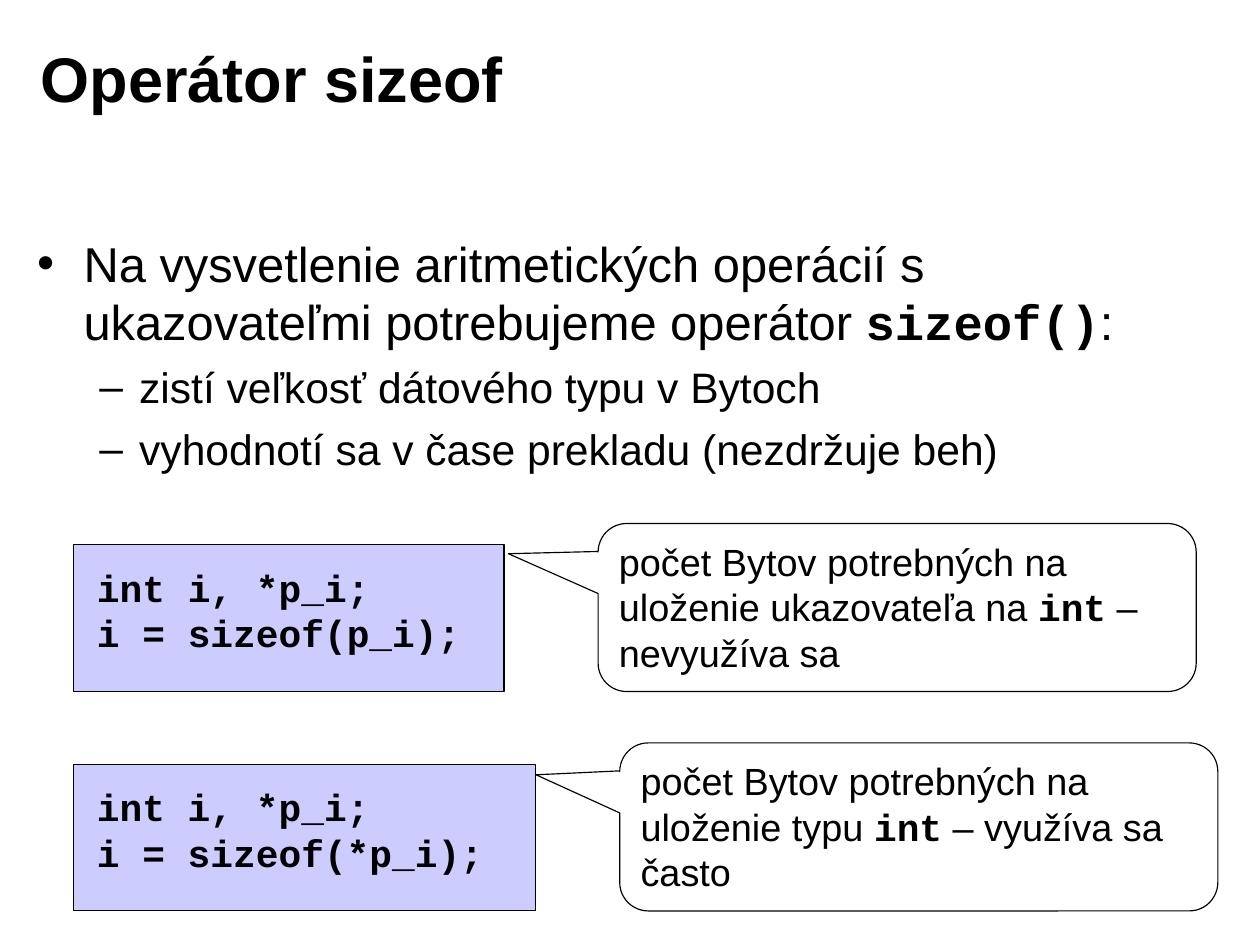
"""Build the slide that explains the sizeof operator."""
from dataclasses import dataclass

from lxml import etree
from pptx import Presentation
from pptx.dml.color import RGBColor
from pptx.enum.shapes import MSO_SHAPE
from pptx.enum.text import MSO_ANCHOR, PP_ALIGN
from pptx.oxml.ns import qn
from pptx.util import Pt

RECTANGLE = MSO_SHAPE.RECTANGLE
CALLOUT = MSO_SHAPE.ROUNDED_RECTANGULAR_CALLOUT
TOP, MIDDLE = MSO_ANCHOR.TOP, MSO_ANCHOR.MIDDLE
ALIGN_LEFT = PP_ALIGN.LEFT
BLANK_LAYOUT = 6
SANS, MONO = "Arial", "Courier New"
BLACK, WHITE, LILAC = "000000", "FFFFFF", "CCCCFF"
WIDE_INSETS, CODE_INSETS = (7.9, 4.3), (7.2, 3.6)
FIRST_ROW_TOP, ROW_STEP = 345.6, 139.2


@dataclass
class Span:
    text: str
    code: bool = False


@dataclass
class Item:
    spans: list[Span]
    size: float
    bullet: str
    left: float
    hanging: float
    before: float
    level: int = 0


@dataclass
class Example:
    code: list[str]
    code_width: float
    note: list[Span]
    note_left: float
    tip: tuple[float, float]


ITEMS = [
    Item([Span("Na vysvetlenie aritmetických operácií s ukazovateľmi potrebujeme operátor "),
          Span("sizeof()", True), Span(":")], 31, "•", 29.5, 29.5, 0),
    Item([Span("zistí veľkosť dátového typu v Bytoch")], 27, "–", 64.8, 25.2, 6.8, 1),
    Item([Span("vyhodnotí sa v čase prekladu (nezdržuje beh)")], 27, "–", 64.8, 25.2, 6.8, 1),
]
EXAMPLES = [
    Example(["int i, *p_i;", "i = sizeof(p_i);"], 272.9,
            [Span("počet Bytov potrebných na uloženie ukazovateľa na "),
             Span("int", True), Span(" – nevyužíva sa")], 379.4, (-0.65, -0.32)),
    Example(["int i, *p_i;", "i = sizeof(*p_i);"], 293,
            [Span("počet Bytov potrebných na uloženie typu "),
             Span("int", True), Span(" – využíva sa často")], 393.1, (-0.64, -0.31)),
]


def color(value: str) -> RGBColor:
    return RGBColor.from_string(value)


def set_font(font, size: float, name: str = SANS, bold: bool = False) -> None:
    font.size, font.name, font.bold = Pt(size), name, bold
    font.color.rgb = color(BLACK)


def set_frame(frame, insets: tuple[float, float], anchor=TOP, wrap: bool = True) -> None:
    frame.margin_left = frame.margin_right = Pt(insets[0])
    frame.margin_top = frame.margin_bottom = Pt(insets[1])
    frame.vertical_anchor, frame.word_wrap = anchor, wrap


def add_text_box(shapes, left: float, top: float, width: float, height: float):
    return shapes.add_textbox(Pt(left), Pt(top), Pt(width), Pt(height))


def add_box(shapes, kind, left: float, top: float, width: float, height: float, fill: str):
    box = shapes.add_shape(kind, Pt(left), Pt(top), Pt(width), Pt(height))
    box.shadow.inherit = False
    box.fill.solid()
    box.fill.fore_color.rgb = color(fill)
    box.line.color.rgb = color(BLACK)
    box.line.width = Pt(0.75)
    return box


def add_spans(paragraph, spans: list[Span], size: float) -> None:
    for span in spans:
        run = paragraph.add_run()
        run.text = span.text
        set_font(run.font, size, MONO if span.code else SANS, span.code)


def add_bullet(paragraph, item: Item) -> None:
    properties = paragraph._p.get_or_add_pPr()
    properties.set("marL", str(Pt(item.left)))
    properties.set("indent", str(-Pt(item.hanging)))
    etree.SubElement(properties, qn("a:buFont"), typeface=SANS)
    etree.SubElement(properties, qn("a:buChar"), char=item.bullet)


def add_title(page) -> None:
    box = add_text_box(page.shapes, 18, 12.2, 641.5, 73.4)
    set_frame(box.text_frame, WIDE_INSETS, MIDDLE)
    box.text_frame.text = "Operátor sizeof"
    set_font(box.text_frame.paragraphs[0].runs[0].font, 40, bold=True)


def add_items(page) -> None:
    frame = add_text_box(page.shapes, 15.6, 143.6, 767.5, 181.4).text_frame
    set_frame(frame, WIDE_INSETS)
    for index, item in enumerate(ITEMS):
        paragraph = frame.add_paragraph() if index else frame.paragraphs[0]
        paragraph.level = item.level
        add_bullet(paragraph, item)
        paragraph.space_before = Pt(item.before)
        add_spans(paragraph, item.spans, item.size)


def add_code(page, example: Example, top: float) -> None:
    group = page.shapes.add_group_shape()
    add_box(group.shapes, RECTANGLE, 46.8, top, example.code_width, 92.9, LILAC)
    frame = add_text_box(group.shapes, 54.4, top + 9, example.code_width - 16, 64.8).text_frame
    set_frame(frame, CODE_INSETS, wrap=False)
    frame.text = "\n".join(example.code)
    for paragraph in frame.paragraphs:
        paragraph.alignment = ALIGN_LEFT
        set_font(paragraph.runs[0].font, 24, MONO, True)


def add_note(page, example: Example, top: float) -> None:
    callout = add_box(page.shapes, CALLOUT, example.note_left, top - 13.5, 379.4, 106.6, WHITE)
    callout.adjustments[0], callout.adjustments[1] = example.tip
    callout.adjustments[2] = 0.17
    set_frame(callout.text_frame, WIDE_INSETS)
    paragraph = callout.text_frame.paragraphs[0]
    paragraph.alignment = ALIGN_LEFT
    add_spans(paragraph, example.note, 24)


def main() -> None:
    deck = Presentation()
    deck.slide_width, deck.slide_height = Pt(799.2), Pt(597.6)
    page = deck.slides.add_slide(deck.slide_layouts[BLANK_LAYOUT])
    add_title(page)
    add_items(page)
    for row, example in enumerate(EXAMPLES):
        top = FIRST_ROW_TOP + row * ROW_STEP
        add_code(page, example, top)
        add_note(page, example, top)
    deck.save("out.pptx")


if __name__ == "__main__":
    main()
